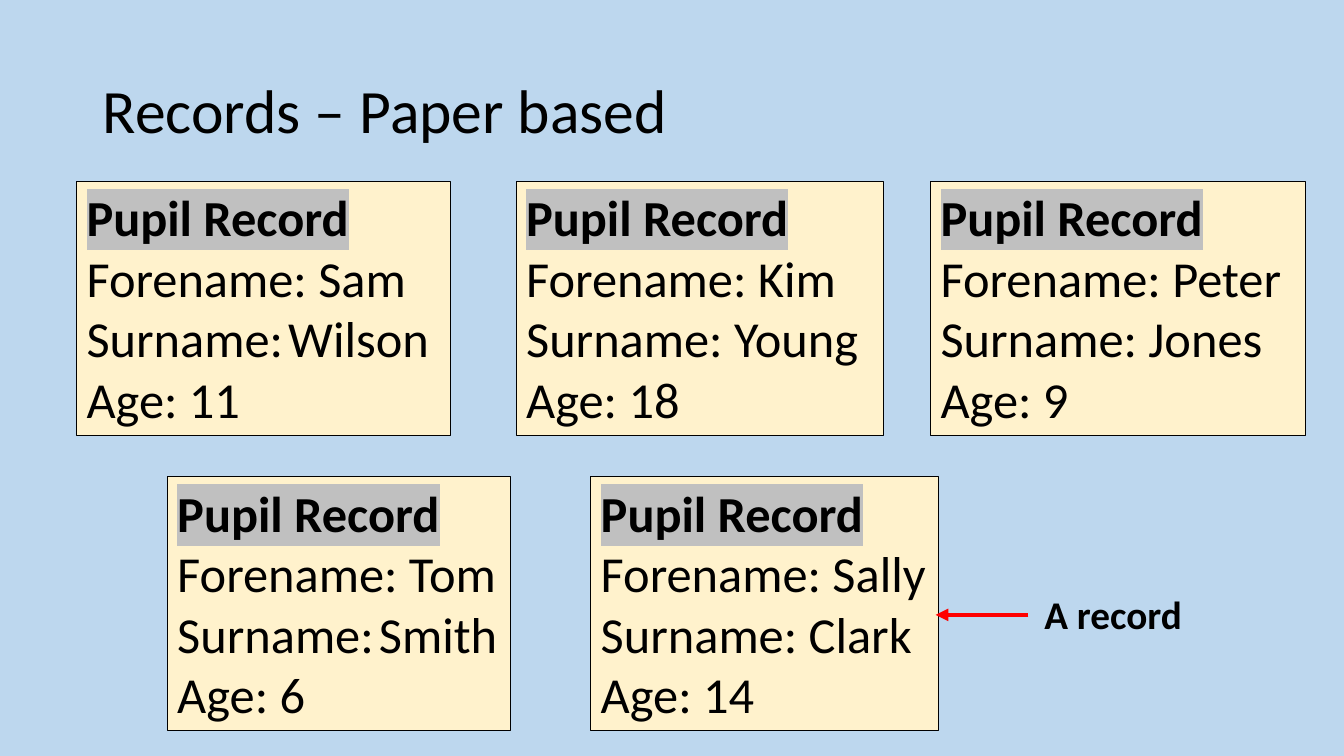
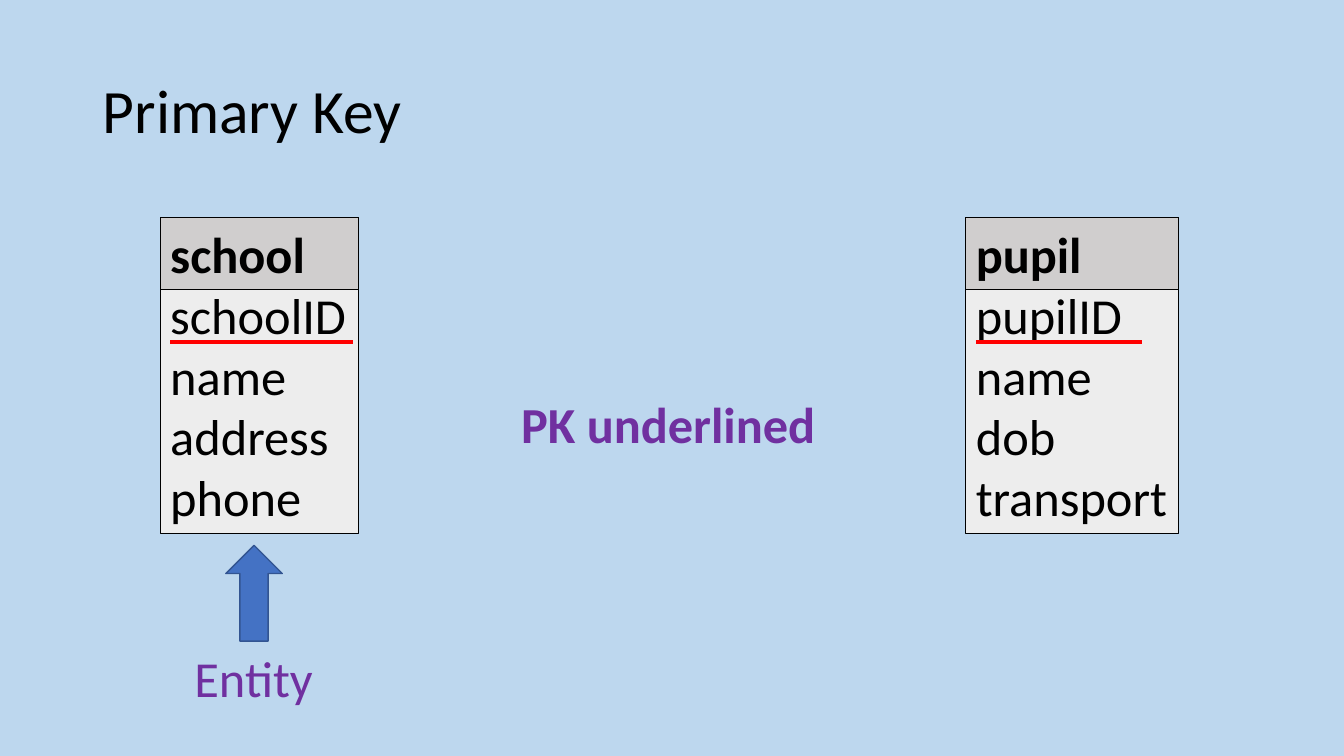
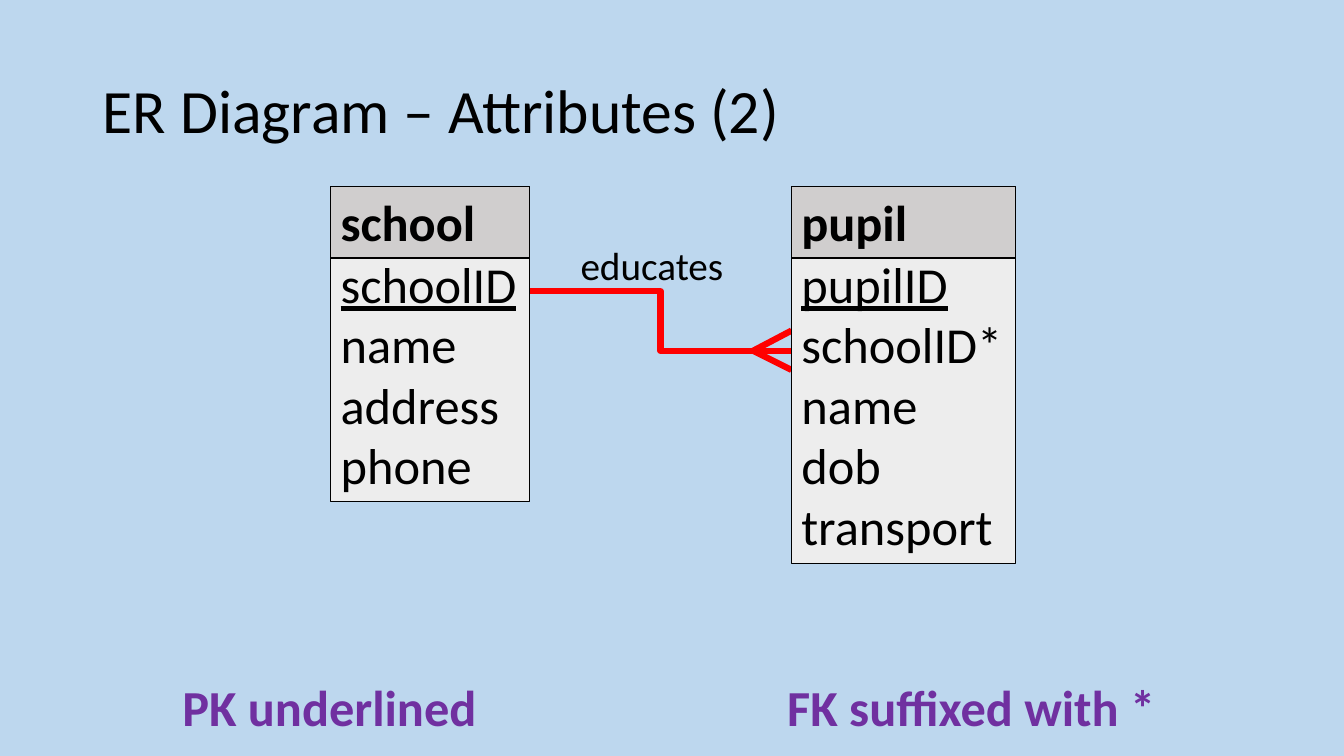
from pptx import Presentation
from pptx.dml.color import RGBColor
from pptx.enum.shapes import MSO_CONNECTOR as Connector, MSO_SHAPE as Shape
from pptx.enum.text import MSO_ANCHOR as Anchor, PP_ALIGN as Align
from pptx.oxml.ns import qn
from pptx.util import Pt
from lxml.etree import SubElement

PX = 9144  # 100 px to the inch
FONT = "Calibri"
TITLE_ONLY = 5

BLACK = RGBColor(0x00, 0x00, 0x00)
SKY = RGBColor(0xBD, 0xD7, 0xEE)
CREAM = RGBColor(0xFF, 0xF2, 0xCC)
PALE_GREY = RGBColor(0xED, 0xED, 0xED)
HEAD_GREY = RGBColor(0xD0, 0xCE, 0xCE)
HIGHLIGHT = RGBColor(0xC0, 0xC0, 0xC0)
RED = RGBColor(0xFF, 0x00, 0x00)
PURPLE = RGBColor(0x70, 0x30, 0xA0)
BLUE = RGBColor(0x44, 0x72, 0xC4)
DARK_BLUE = RGBColor(0x32, 0x54, 0x91)

ROW = 61       # one line of 36 pt text
PADDING = 8    # inset above and below the text of a card
HEAD = 71      # heading band of an entity
INSET = 10     # inset at the left of a text


def px(*lengths):
    return [round(length * PX) for length in lengths]


# Shared parts
def new_deck():
    deck = Presentation()
    deck.slide_width, deck.slide_height = px(1333, 750)
    background = deck.slide_master.background.fill
    background.solid()
    background.fore_color.rgb = SKY
    return deck


def set_font(para, size=36, color=BLACK, bold=False):
    para.font.name = FONT
    para.font.size = Pt(size)
    para.font.color.rgb = color
    para.font.bold = bold


def new_page(deck, heading):
    page = deck.slides.add_slide(deck.slide_layouts[TITLE_ONLY])
    title = page.shapes.title
    title.left, title.top, title.width, title.height = px(92, 40, 1150, 145)
    frame = title.text_frame
    frame.text = heading
    frame.vertical_anchor = Anchor.MIDDLE
    para = frame.paragraphs[0]
    para.alignment = Align.LEFT
    para.line_spacing = 0.9
    set_font(para, 44)
    return page


def add_label(page, box, text, align=Align.LEFT, anchor=Anchor.MIDDLE, **font):
    frame = page.shapes.add_textbox(*px(*box)).text_frame
    frame.word_wrap = True
    frame.vertical_anchor = anchor
    frame.text = text
    para = frame.paragraphs[0]
    para.alignment = align
    set_font(para, **font)


def add_solid(page, preset, box, fill, line=BLACK, weight=0.75):
    shape = page.shapes.add_shape(preset, *px(*box))
    shape.shadow.inherit = False
    shape.fill.solid()
    shape.fill.fore_color.rgb = fill
    shape.line.color.rgb = line
    shape.line.width = Pt(weight)
    return shape


def add_card(page, box, fill, lines, top=5, bold=False):
    """A bordered rectangle with one paragraph for each line."""
    frame = add_solid(page, Shape.RECTANGLE, box, fill).text_frame
    frame.word_wrap = True
    frame.vertical_anchor = Anchor.TOP
    frame.margin_left, frame.margin_top, frame.margin_right = px(INSET, top, 0)
    frame.text = "\n".join(lines)
    for para in frame.paragraphs:
        para.alignment = Align.LEFT
        set_font(para, bold=bold)
    return frame.paragraphs


def add_line(page, start, end, weight=3, kind=Connector.STRAIGHT, arrow=False):
    line = page.shapes.add_connector(kind, *px(*start, *end))
    line.line.color.rgb = RED
    line.line.width = Pt(weight)
    properties = line._element.spPr
    if arrow:
        SubElement(properties.find(qn("a:ln")), qn("a:tailEnd"), type="triangle")
    SubElement(properties, qn("a:effectLst"))


# Paper records
def add_record(page, left, top, width, forename, surname, age, gap=" "):
    lines = ["Pupil Record", f"Forename: {forename}",
             f"Surname:{gap}{surname}", f"Age: {age}"]
    box = (left, top, width, PADDING + ROW * len(lines))
    heading = add_card(page, box, CREAM, lines)[0]
    heading.font.bold = True
    run_properties = heading.runs[0]._r.get_or_add_rPr()
    mark = SubElement(run_properties, qn("a:highlight"))
    SubElement(mark, qn("a:srgbClr"), val=str(HIGHLIGHT))


# Entities and relationships
def add_entity(page, left, top, width, name, attributes, underline_key=False):
    height = PADDING + ROW * (len(attributes) + 1)
    rows = add_card(page, (left, top, width, height), PALE_GREY, attributes,
                    top=5 + ROW)
    rows[0].font.underline = underline_key
    add_card(page, (left, top, width, HEAD), HEAD_GREY, [name], bold=True)


def add_key_line(page, left, top, length):
    """A red line below the first attribute of the entity at left, top."""
    x, y = left + INSET, top + 123
    add_line(page, (x, y), (x + length, y))


def add_one_to_many(page, start, end, name):
    add_line(page, start, end, 4.5, Connector.ELBOW)
    x, y = end
    for spread in (-20, 19):  # crow's foot
        add_line(page, (x - 38, y), (x, y + spread), 4.5)
    add_label(page, (start[0] + 41, start[1] - 55, 176, 57), name,
              anchor=Anchor.TOP, size=28)


# Slides
def records_page(deck):
    page = new_page(deck, "Records – Paper based")
    upper, lower = 180, 473
    add_record(page, 76, upper, 371, "Sam", "Wilson", 11, gap="\t")
    add_record(page, 512, upper, 364, "Kim", "Young", 18)
    add_record(page, 923, upper, 372, "Peter", "Jones", 9)
    add_record(page, 166, lower, 340, "Tom", "Smith", 6, gap="\t")
    add_record(page, 586, lower, 345, "Sally", "Clark", 14)
    add_line(page, (1020, 610), (928, 610), arrow=True)
    add_label(page, (1026, 582, 260, 53), "A record", size=28, bold=True)


def primary_key_page(deck):
    page = new_page(deck, "Primary Key")
    top = 216
    add_entity(page, 159, top, 197, "school",
               ["schoolID", "name", "address", "phone"])
    add_entity(page, 958, top, 211, "pupil",
               ["pupilID", "name", "dob", "transport"])
    add_key_line(page, 159, top, 181)
    add_key_line(page, 958, top, 165)
    add_label(page, (507, 384, 319, 71), "PK underlined", color=PURPLE, bold=True)
    add_solid(page, Shape.UP_ARROW, (224, 541, 56, 95), BLUE, DARK_BLUE, 1)
    add_label(page, (179, 637, 145, 71), "Entity", Align.CENTER, Anchor.TOP,
              color=PURPLE)


def attributes_page(deck):
    page = new_page(deck, "ER Diagram – Attributes (2)")
    top = 185
    add_one_to_many(page, (525, 289), (785, 348), "educates")
    add_entity(page, 328, top, 197, "school",
               ["schoolID", "name", "address", "phone"], underline_key=True)
    add_entity(page, 785, top, 222, "pupil",
               ["pupilID", "schoolID*", "name", "dob", "transport"],
               underline_key=True)
    for left, note in ((171, "PK underlined"), (771, "FK suffixed with *")):
        add_label(page, (left, 665, 420, 71), note, color=PURPLE, bold=True)


def main():
    deck = new_deck()
    records_page(deck)
    primary_key_page(deck)
    attributes_page(deck)
    deck.save("out.pptx")


if __name__ == "__main__":
    main()
